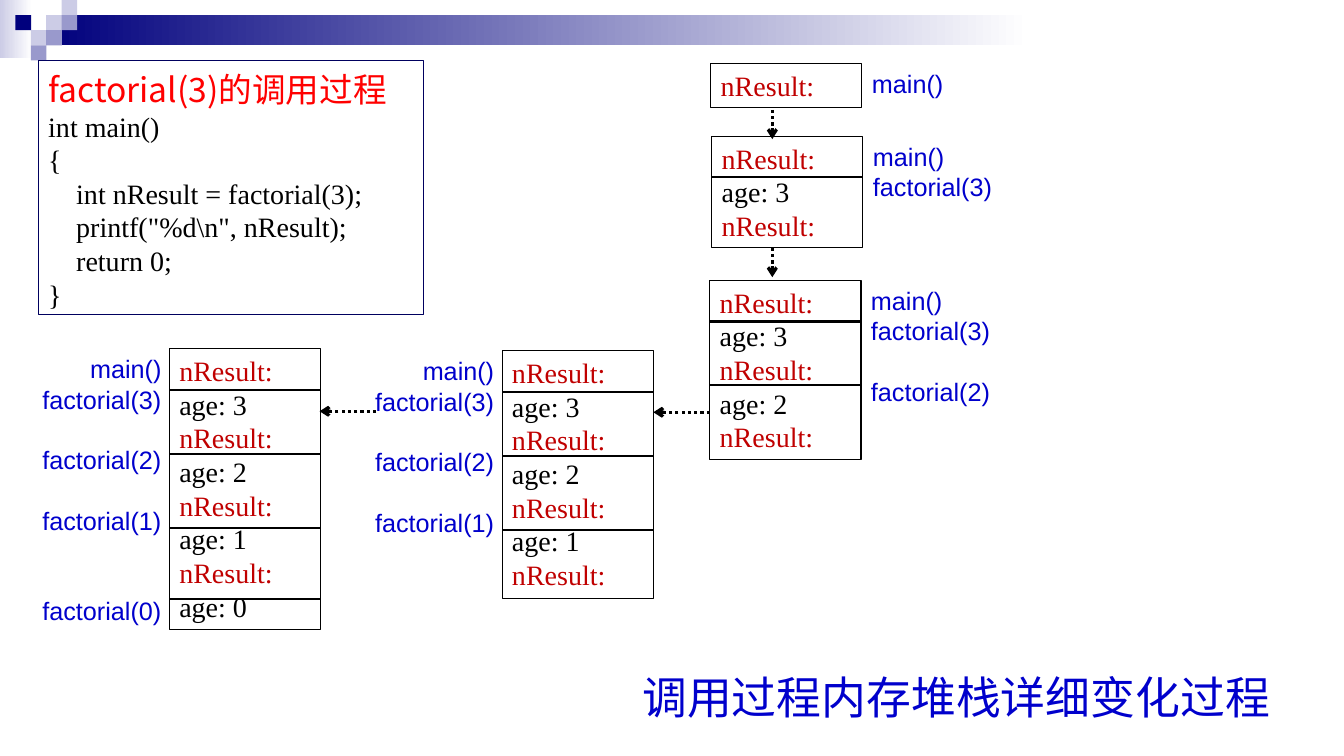
from dataclasses import dataclass

from lxml import etree
from pptx import Presentation
from pptx import util as u
from pptx.dml.color import RGBColor
from pptx.enum import dml, shapes, text
from pptx.oxml.ns import qn


@dataclass(frozen=True)
class Theme:
    navy: str = "00007D"
    lavender: str = "CCCCE6"
    violet: str = "9999CC"
    white: str = "FFFFFF"
    black: str = "000000"
    frame_edge: str = "00005E"
    label: str = "0000CC"
    result: str = "C00000"
    heading: str = "FF0000"
    serif: str = "Times New Roman"
    sans: str = "Arial"
    chinese: str = "Noto Sans CJK SC"
    title_size: int = 32
    heading_size: int = 24
    code_size: int = 20
    label_size: int = 18
    leading: float = 1.2
    chinese_leading: float = 1.3


THEME = Theme()


def rgb(color):
    return RGBColor.from_string(color)


def box(left, top, width, height):
    return [u.Inches(v) for v in (left, top, width, height)]


class StackSlide:
    def __init__(self, slide, theme):
        self.slide = slide
        self.theme = theme

    def format_line(self, paragraph, font, size, color):
        """Style one paragraph, with a fixed leading for its font."""
        theme = self.theme
        chinese = font == theme.chinese
        leading = theme.chinese_leading if chinese else theme.leading
        paragraph.line_spacing = u.Pt(round(size * leading, 1))
        paragraph.space_before = u.Pt(0)
        for run in paragraph.runs:
            run.font.name = font
            run.font.size = u.Pt(size)
            run.font.color.rgb = rgb(color)
            if chinese:
                east_asian = etree.SubElement(run.font._element, qn("a:ea"))
                east_asian.set("typeface", font)

    def fill_frame(self, frame, lines, align=text.PP_ALIGN.LEFT):
        """Fill a frame with (words, font, size, colour) lines."""
        frame.word_wrap = True
        frame.vertical_anchor = text.MSO_ANCHOR.TOP
        frame.text = "\n".join(line[0] for line in lines)
        for paragraph, (_, font, size, color) in zip(frame.paragraphs, lines):
            paragraph.alignment = align
            self.format_line(paragraph, font, size, color)

    def title(self, words, place):
        heading = self.slide.shapes.title
        heading.left, heading.top, heading.width, heading.height = box(*place)
        theme = self.theme
        self.fill_frame(
            heading.text_frame,
            [(words, theme.chinese, theme.title_size, theme.label)])
        heading.text_frame.word_wrap = False
        heading.text_frame.auto_size = text.MSO_AUTO_SIZE.NONE

    def rectangle(self, place, fill=None, fade_to=None, edge=None):
        rect = self.slide.shapes.add_shape(
            shapes.MSO_SHAPE.RECTANGLE, *box(*place))
        rect.shadow.inherit = False
        if fade_to:
            rect.fill.gradient()
            rect.fill.gradient_angle = 0
            for stop, color, position in zip(
                    rect.fill.gradient_stops, (fill, fade_to), (0, 1)):
                stop.color.rgb = rgb(color)
                stop.position = position
        elif fill:
            rect.fill.solid()
            rect.fill.fore_color.rgb = rgb(fill)
        else:
            rect.fill.background()
        if edge:
            rect.line.color.rgb = rgb(edge)
            rect.line.width = u.Pt(0.75)
        else:
            rect.line.fill.background()
        return rect

    def line(self, start, end, arrow=False):
        """Draw a solid divider, or a dotted arrow."""
        rule = self.slide.shapes.add_connector(
            shapes.MSO_CONNECTOR.STRAIGHT,
            *[u.Inches(v) for v in (*start, *end)])
        rule.line.color.rgb = rgb(self.theme.black)
        rule.line.width = u.Pt(2.25 if arrow else 1.5)
        if arrow:
            rule.line.dash_style = dml.MSO_LINE.ROUND_DOT
            outline = rule._element.spPr.find(qn("a:ln"))
            etree.SubElement(outline, qn("a:tailEnd")).set("type", "arrow")
        etree.SubElement(rule._element.spPr, qn("a:effectLst"))

    def code(self, heading, source, place):
        theme = self.theme
        panel = self.rectangle(place, fill=theme.white, edge=theme.frame_edge)
        lines = [(heading, theme.chinese, theme.heading_size, theme.heading)]
        lines += [(row, theme.serif, theme.code_size, theme.black)
                  for row in source.split("\n")]
        self.fill_frame(panel.text_frame, lines)

    def labels(self, calls, place, align):
        """Name each frame; calls holds (name, skipped lines before it)."""
        theme = self.theme
        names = self.slide.shapes.add_textbox(*box(*place)).text_frame
        self.fill_frame(
            names, [(name, theme.sans, theme.label_size, theme.label)
                    for name, _ in calls], align)
        for paragraph, (_, skipped) in zip(names.paragraphs, calls):
            gap = skipped * theme.label_size * theme.leading
            paragraph.space_before = u.Pt(round(gap, 1))

    def stack(self, left, top, height, depth, labels_right):
        """Draw the call stack with depth factorial frames below main()."""
        theme = self.theme
        ages = range(3, 3 - depth, -1)
        rows = ["nResult:"]
        for age in ages:
            rows += [f"age: {age}"] + (["nResult:"] if age else [])
        cells = self.rectangle((left, top, STACK_WIDTH, height),
                               edge=theme.black)
        self.fill_frame(cells.text_frame, [
            (row, theme.serif, theme.code_size,
             theme.result if row == "nResult:" else theme.black)
            for row in rows])
        calls = [("main()", 0)] + [
            (f"factorial({age})", CALL_GAPS[age]) for age in ages]
        label_height = 0.1 + 0.3 * sum(1 + gap for _, gap in calls)
        if labels_right:
            self.labels(calls, (left + STACK_WIDTH, top, 1.81, label_height),
                        text.PP_ALIGN.LEFT)
        else:
            self.labels(calls, (left - 1.58, top, 1.6, label_height),
                        text.PP_ALIGN.RIGHT)
        for offset in DIVIDERS[:depth]:
            self.line((left, top + offset), (left + STACK_WIDTH, top + offset))


STACK_WIDTH = 1.5
DIVIDERS = (0.41, 1.04, 1.78, 2.48)
CALL_GAPS = {3: 0, 2: 1, 1: 1, 0: 2}
STACKS = [  # left, top, height, depth, labels on the right
    (7.05, 0.63, 0.44, 0, True),
    (7.06, 1.35, 1.11, 1, True),
    (7.04, 2.78, 1.78, 2, True),
    (4.98, 3.48, 2.46, 3, False),
    (1.68, 3.46, 2.79, 4, False),
]
STEPS = [
    ((7.66, 1.09), (7.66, 1.38)),
    ((7.66, 2.46), (7.66, 2.75)),
    ((7.04, 4.09), (6.48, 4.09)),
    ((3.73, 4.08), (3.17, 4.08)),
]
MOSAIC = [  # column, row, colour
    (3, 1, THEME.lavender), (4, 0, THEME.lavender), (4, 1, THEME.violet),
    (2, 2, THEME.lavender), (1, 1, THEME.navy), (3, 2, THEME.violet),
    (2, 3, THEME.violet),
]
SOURCE = r"""int main()
{
    int nResult = factorial(3);
    printf("%d\n", nResult);
    return 0;
}"""


def main():
    deck = Presentation()
    deck.slide_width, deck.slide_height = u.Inches(13.33), u.Inches(7.5)
    page = StackSlide(deck.slides.add_slide(deck.slide_layouts[5]), THEME)
    page.title("调用过程内存堆栈详细变化过程", (6.27, 6.55, 6.48, 0.64))
    page.rectangle((0, 0, 0.32, 0.58), THEME.lavender, THEME.white)
    page.rectangle((0.46, 0.15, 9.75, 0.3), THEME.navy, THEME.white)
    for column, row, color in MOSAIC:
        page.rectangle((column * 0.153, row * 0.15, 0.155, 0.15), color)
    page.code("factorial(3)的调用过程", SOURCE, (0.38, 0.6, 3.82, 2.52))
    for stack in STACKS:
        page.stack(*stack)
    for start, end in STEPS:
        page.line(start, end, arrow=True)
    deck.save("out.pptx")


if __name__ == "__main__":
    main()
